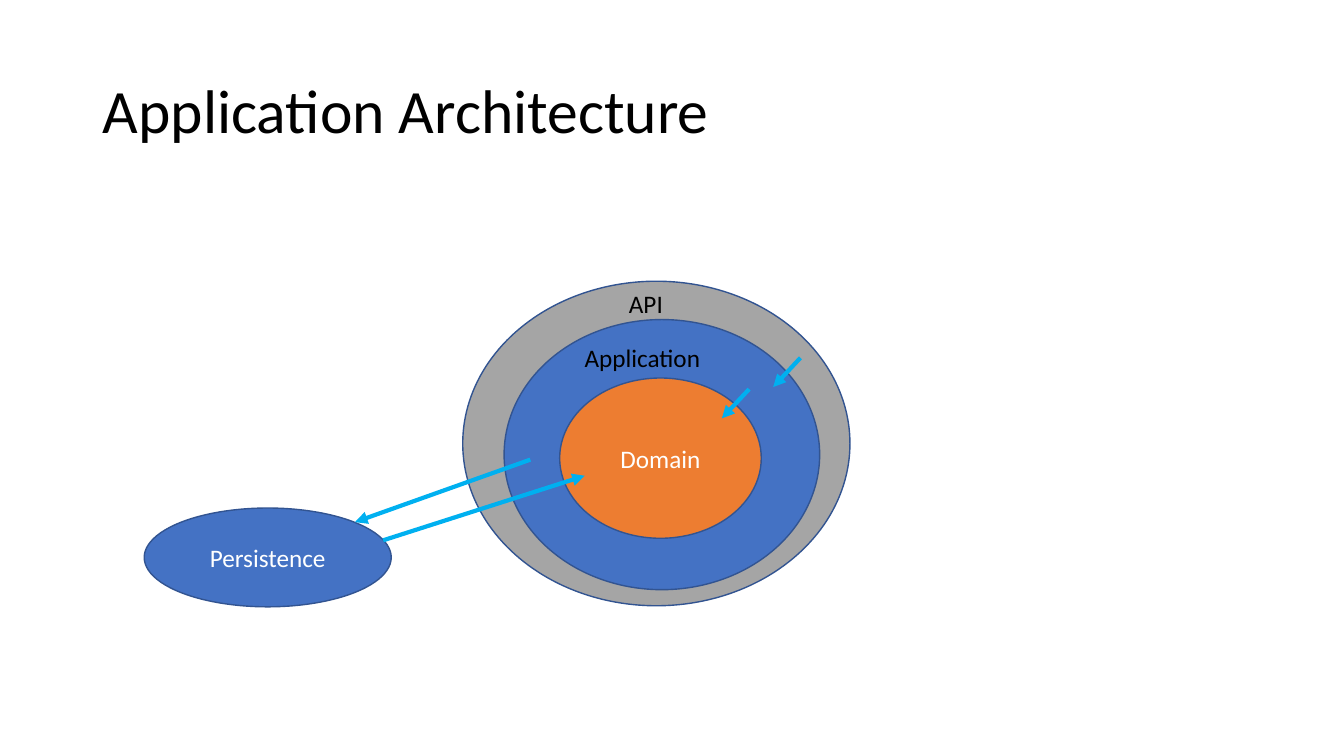
"""Build the Application Architecture slide: nested layers and a persistence store."""
from lxml import etree
from pptx import Presentation
from pptx.dml.color import RGBColor
from pptx.enum.shapes import MSO_CONNECTOR, MSO_SHAPE
from pptx.enum.text import MSO_ANCHOR, PP_ALIGN
from pptx.oxml.ns import qn
from pptx.util import Inches, Pt

THEME = {
    "font": "Calibri", "title_size": 44, "label_size": 18,
    "text": "000000", "inverse": "FFFFFF",
    "api": "A5A5A5", "application": "4472C4", "domain": "ED7D31",
    "outline": "325491", "arrow": "00B0F0",
    "outline_width": 1, "arrow_width": 3,
}

# Positions are percentages of the slide's width and height.
TITLE = ("Application Architecture", (6.9, 5.33, 86.27, 19.33))
ELLIPSES = [
    ("", "api", (34.43, 37.2, 28.81, 42.93)),
    ("", "application", (37.51, 42.27, 23.48, 35.73)),
    ("Domain", "domain", (41.64, 50, 15, 21.2)),
    ("Persistence", "application", (10.73, 67.2, 18.38, 13.07)),
]
LABELS = [
    ("API", (46.06, 37.47, 12.15, 5.33)),
    ("Application", (42.76, 44.67, 10.73, 5.33)),
]
INWARD_STEP = (-2.03, 3.87)
INWARD_STARTS = [(59.56, 47.33), (55.74, 51.47)]
PERSISTENCE_ARROWS = [
    ((39.46, 60.8), (26.41, 69.07)),
    ((28.51, 71.47), (43.51, 62.93)),
]

prs = Presentation()
prs.slide_width, prs.slide_height = Inches(13.33), Inches(7.5)
slide = prs.slides.add_slide(prs.slide_layouts[5])


def color(name):
    """Return the theme colour of that name."""
    return RGBColor.from_string(THEME[name])


def place(*shares):
    """Turn alternating width and height percentages into slide lengths."""
    sides = (prs.slide_width, prs.slide_height)
    return [int(share * sides[i % 2] / 100) for i, share in enumerate(shares)]


def write(shape, text, size, ink, align=PP_ALIGN.LEFT, anchor=MSO_ANCHOR.TOP):
    """Put one formatted paragraph in a shape and return it."""
    frame = shape.text_frame
    frame.word_wrap = True
    frame.vertical_anchor = anchor
    paragraph = frame.paragraphs[0]
    paragraph.alignment = align
    run = paragraph.add_run()
    run.text = text
    run.font.name = THEME["font"]
    run.font.size = Pt(THEME[size])
    run.font.color.rgb = color(ink)
    return paragraph


def add_ellipse(text, fill, box):
    """Draw an outlined ellipse with an optional centred caption."""
    ellipse = slide.shapes.add_shape(MSO_SHAPE.OVAL, *place(*box))
    ellipse.shadow.inherit = False
    ellipse.fill.solid()
    ellipse.fill.fore_color.rgb = color(fill)
    ellipse.line.color.rgb = color("outline")
    ellipse.line.width = Pt(THEME["outline_width"])
    if text:
        write(ellipse, text, "label_size", "inverse", PP_ALIGN.CENTER, MSO_ANCHOR.MIDDLE)


def add_arrow(start, end):
    """Draw a straight arrow pointing at its end."""
    arrow = slide.shapes.add_connector(MSO_CONNECTOR.STRAIGHT, *place(*start, *end))
    arrow.line.color.rgb = color("arrow")
    arrow.line.width = Pt(THEME["arrow_width"])
    etree.SubElement(arrow.line._get_or_add_ln(), qn("a:tailEnd"), type="triangle")
    etree.SubElement(arrow._element.spPr, qn("a:effectLst"))


title_text, title_box = TITLE
title = slide.shapes.title
title.left, title.top, title.width, title.height = place(*title_box)
write(title, title_text, "title_size", "text", anchor=MSO_ANCHOR.MIDDLE).line_spacing = 0.9

for ellipse_spec in ELLIPSES:
    add_ellipse(*ellipse_spec)
for label_text, label_box in LABELS:
    write(slide.shapes.add_textbox(*place(*label_box)), label_text, "label_size", "text")

inward_arrows = [
    (start, (start[0] + INWARD_STEP[0], start[1] + INWARD_STEP[1])) for start in INWARD_STARTS
]
for start, end in inward_arrows + PERSISTENCE_ARROWS:
    add_arrow(start, end)

prs.save("out.pptx")
